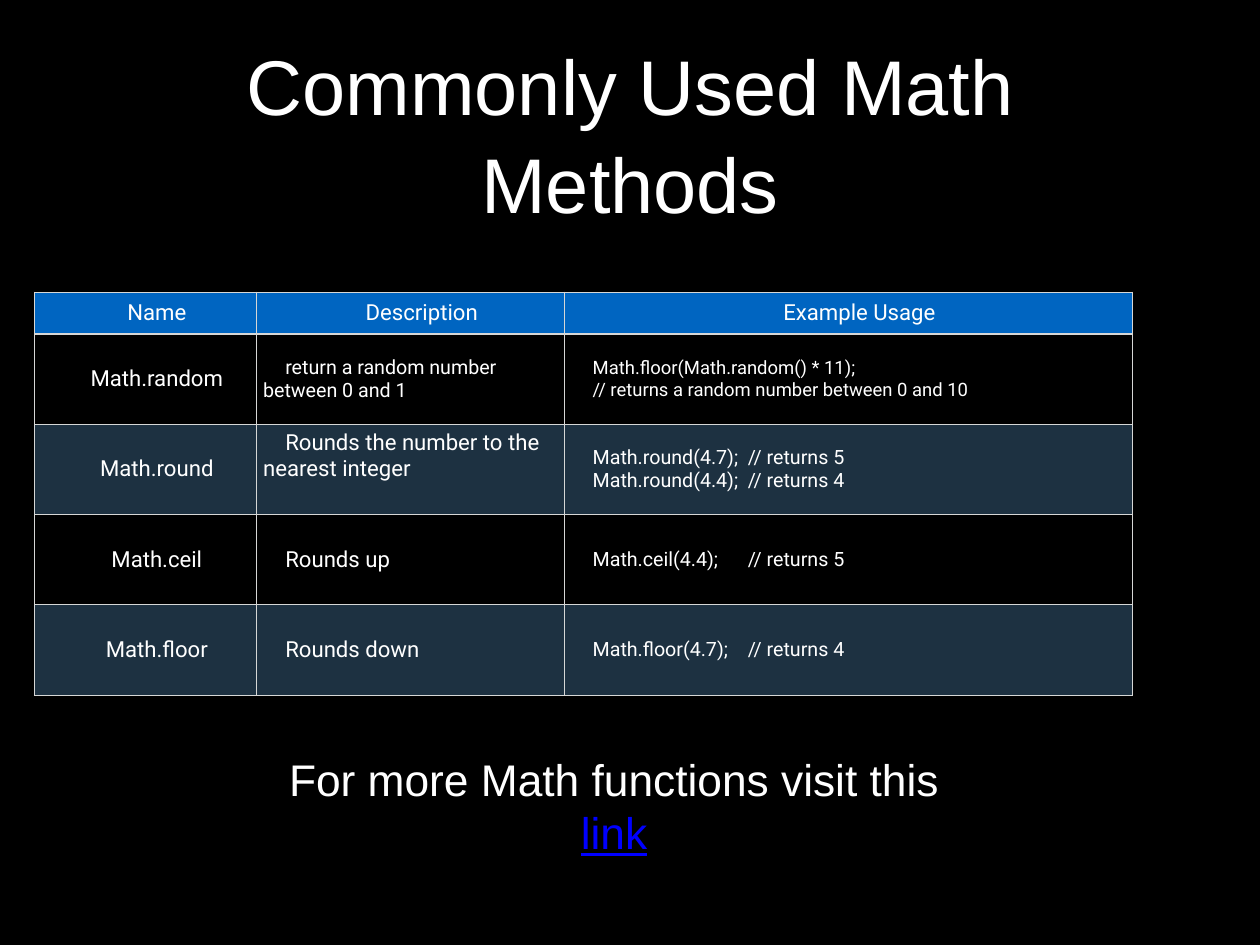
from dataclasses import dataclass
from lxml import etree
from pptx import Presentation
from pptx.dml.color import RGBColor
from pptx.enum.text import MSO_ANCHOR, PP_ALIGN
from pptx.oxml.ns import qn
from pptx.util import Inches, Pt

LEFT, CENTER = PP_ALIGN.LEFT, PP_ALIGN.CENTER
TOP, MIDDLE = MSO_ANCHOR.TOP, MSO_ANCHOR.MIDDLE


@dataclass(frozen=True)
class Theme:
    back: str = "000000"
    ink: str = "FFFFFF"
    link: str = "0000FF"
    head: str = "0065C1"
    band: str = "73C0FC"
    rule: str = "D6D7D6"
    sans: str = "Arial"
    body: str = "Roboto"
    title: int = 63
    note: int = 36
    label: int = 18
    code: int = 16
    small: int = 15


THEME = Theme()
HEADS = ["Name", "Description", "Example Usage"]
ROWS = [
    ("Math.random", "return a random number between 0 and 1",
     ["Math.floor(Math.random() * 11);",
      "// returns a random number between 0 and 10"],
     dict(size=THEME.small), dict(size=THEME.code)),
    ("Math.round", "Rounds the number to the nearest integer",
     ["Math.round(4.7);\t// returns 5", "Math.round(4.4);\t// returns 4"],
     dict(tab=2.55), dict(anchor=TOP)),
    ("Math.ceil", "Rounds up", ["Math.ceil(4.4);\t// returns 5"],
     dict(tab=2.38), {}),
    ("Math.floor", "Rounds down", ["Math.floor(4.7);\t// returns 4"],
     dict(tab=2.44), {}),
]


def tint(color):
    return RGBColor.from_string(color)


def write(para, text, size=THEME.label, font=THEME.body, color=THEME.ink,
          align=LEFT, indent=0, tab=None, under=None, space=None):
    para.alignment = align
    if space:
        para.line_spacing = space
    props = para._p.get_or_add_pPr()
    if indent:
        props.set("marL", "0")
        props.set("indent", str(Inches(indent)))
    if tab:
        tabs = etree.SubElement(props, qn("a:tabLst"))
        etree.SubElement(tabs, qn("a:tab"), pos=str(Inches(tab)), algn="l")
    run = para.add_run()
    run.text = text
    run.font.size = Pt(size)
    run.font.name = font
    run.font.color.rgb = tint(color)
    run.font.underline = under


def add_box(slide, place, inset=0, wrap=True):
    frame = slide.shapes.add_textbox(*map(Inches, place)).text_frame
    frame.word_wrap = wrap
    frame.vertical_anchor = MIDDLE
    frame.margin_left = frame.margin_right = Inches(inset)
    frame.margin_top = frame.margin_bottom = Inches(inset)
    return frame.paragraphs[0]


def add_rules(cell, foot):
    props = cell._tc.get_or_add_tcPr()
    for spot, side in enumerate(("lnL", "lnR", "lnT", "lnB")):
        width = foot if side == "lnB" else 1
        line = etree.Element(qn("a:" + side), w=str(Pt(width)))
        fill = etree.SubElement(line, qn("a:solidFill"))
        etree.SubElement(fill, qn("a:srgbClr"), val=THEME.rule)
        props.insert(spot, line)


def paint(cell, color, alpha=None):
    if color is None:
        cell.fill.background()
        return
    cell.fill.solid()
    cell.fill.fore_color.rgb = tint(color)
    if alpha:
        shade = next(cell._tc.tcPr.iter(qn("a:srgbClr")))
        etree.SubElement(shade, qn("a:alpha"), val=str(alpha * 1000))


def fill_cell(cell, lines, color, alpha=None, anchor=MIDDLE, foot=1, **style):
    cell.margin_left = cell.margin_right = Inches(0.07)
    cell.margin_top = cell.margin_bottom = Inches(0.07)
    cell.vertical_anchor = anchor
    paint(cell, color, alpha)
    add_rules(cell, foot)
    frame = cell.text_frame
    for spot, text in enumerate(lines):
        para = frame.add_paragraph() if spot else frame.paragraphs[0]
        write(para, text, indent=0.25, **style)


def add_grid(slide):
    place = map(Inches, (0.39, 3.3, 12.39, 4.55))
    table = slide.shapes.add_table(len(ROWS) + 1, len(HEADS), *place).table
    table.first_row = table.horz_banding = False
    for column, width in zip(table.columns, (2.51, 3.47, 6.41)):
        column.width = Inches(width)
    for spot, row in enumerate(table.rows):
        row.height = Inches(1.02 if spot else 0.47)
    for spot, text in enumerate(HEADS):
        fill_cell(table.cell(0, spot), [text], THEME.head, foot=2, align=CENTER)
    for spot, (name, about, code, style, look) in enumerate(ROWS, 1):
        band = (None, None) if spot % 2 else (THEME.band, 26)
        fill_cell(table.cell(spot, 0), [name], *band, align=CENTER)
        fill_cell(table.cell(spot, 1), [about], *band, **look)
        fill_cell(table.cell(spot, 2), code, *band,
                  **{"size": THEME.code, **style})


def main():
    deck = Presentation()
    deck.slide_width, deck.slide_height = Inches(14.22), Inches(10.67)
    slide = deck.slides.add_slide(deck.slide_layouts[6])
    back = slide.background.fill
    back.solid()
    back.fore_color.rgb = tint(THEME.back)
    write(add_box(slide, (1.04, 0.3, 12.14, 2.36)),
          "Commonly Used Math Methods", size=THEME.title, font=THEME.sans,
          align=CENTER, space=1.05)
    add_grid(slide)
    note = add_box(slide, (2.76, 8.74, 8.34, 0.71), inset=0.06, wrap=False)
    style = dict(size=THEME.note, font=THEME.sans, align=CENTER)
    write(note, "For more Math functions visit this ", **style)
    write(note, "link", color=THEME.link, under=True, **style)
    deck.save("out.pptx")


if __name__ == "__main__":
    main()
